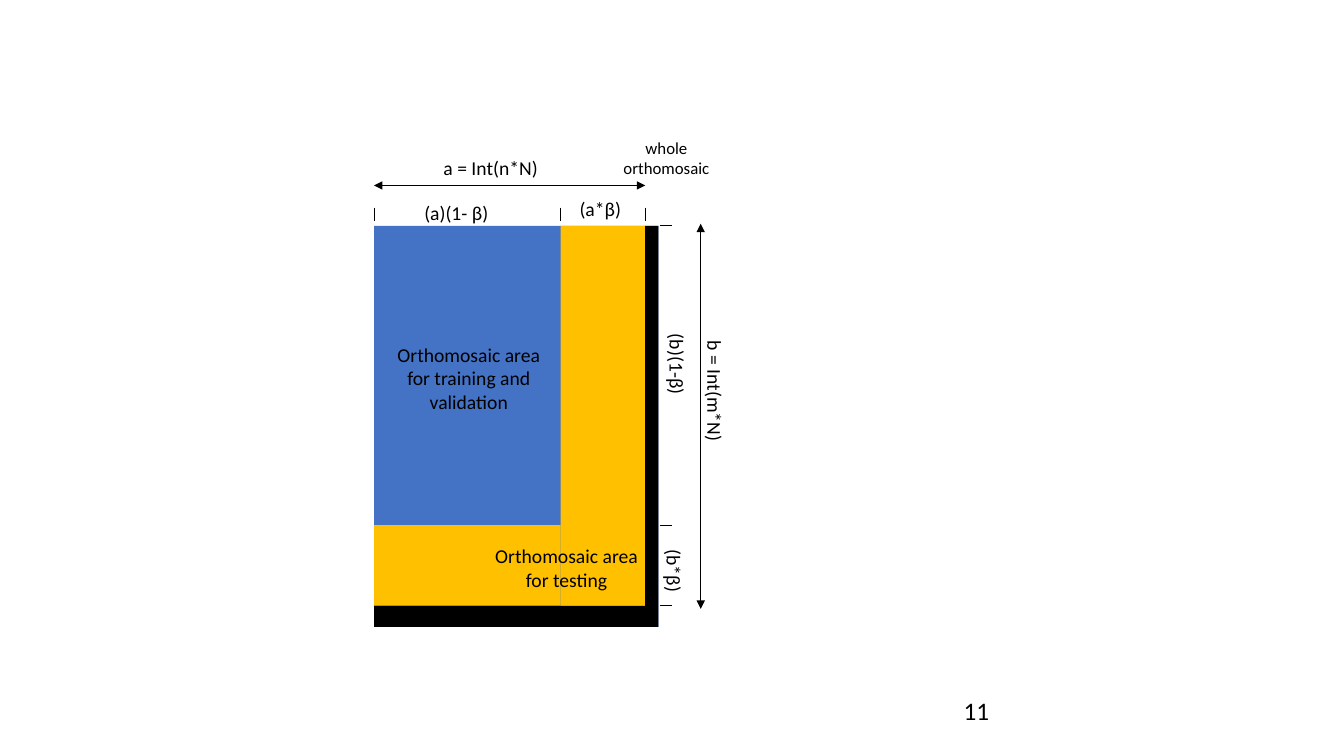
from lxml.etree import SubElement
from pptx import Presentation
from pptx.dml.color import RGBColor
from pptx.enum.shapes import MSO_CONNECTOR, MSO_SHAPE
from pptx.enum.text import MSO_AUTO_SIZE, PP_ALIGN
from pptx.oxml.ns import qn
from pptx.util import Inches, Pt

BLACK = RGBColor(0x00, 0x00, 0x00)
TRAINING_BLUE = RGBColor(0x44, 0x72, 0xC4)
TESTING_YELLOW = RGBColor(0xFF, 0xC0, 0x00)

LEFT, SPLIT_X, EDGE_X, RIGHT = 3.71, 5.56, 6.4, 6.53
TOP, SPLIT_Y, EDGE_Y, BOTTOM = 2.24, 5.21, 6.01, 6.22


def add_area(shapes, left, top, right, bottom, color):
    """Draw a filled area between two corners."""
    area = shapes.add_shape(MSO_SHAPE.RECTANGLE, Inches(left), Inches(top),
                            Inches(right - left), Inches(bottom - top))
    area.shadow.inherit = False
    area.fill.solid()
    area.fill.fore_color.rgb = color
    area.line.fill.background()


def add_rule(shapes, start, end, arrows=False):
    """Draw a thin black line, with arrowheads at both ends if asked."""
    rule = shapes.add_connector(MSO_CONNECTOR.STRAIGHT, *map(Inches, start + end))
    rule.line.color.rgb = BLACK
    rule.line.width = Pt(0.5)
    properties = rule.line._get_or_add_ln()
    if arrows:
        for tag in ("a:headEnd", "a:tailEnd"):
            SubElement(properties, qn(tag), type="triangle")
    SubElement(properties.getparent(), qn("a:effectLst"))


def add_label(shapes, text, left, top, width, height=0.34, size=14,
              rotation=0, align=PP_ALIGN.LEFT):
    """Write a black label and return its paragraph."""
    label = shapes.add_textbox(*map(Inches, (left, top, width, height)))
    label.rotation = rotation
    frame = label.text_frame
    frame.word_wrap = True
    frame.auto_size = MSO_AUTO_SIZE.SHAPE_TO_FIT_TEXT
    paragraph = frame.paragraphs[0]
    paragraph.alignment = align
    run = paragraph.add_run()
    run.text = text
    run.font.name = "Calibri"
    run.font.size = Pt(size)
    run.font.color.rgb = BLACK
    return paragraph


def add_page_number(shapes):
    """Write the slide number at the bottom."""
    number = add_label(shapes, "11", 9.42, 6.95, 3, 0.4, size=18)
    number.line_spacing = Pt(14.3)
    number._p.get_or_add_pPr().set("marL", str(Inches(0.04)))


def add_areas(shapes):
    """Draw the training, testing and unused areas of the orthomosaic."""
    add_area(shapes, LEFT, TOP, RIGHT, BOTTOM, TRAINING_BLUE)
    add_area(shapes, SPLIT_X, TOP, EDGE_X, EDGE_Y, TESTING_YELLOW)
    add_area(shapes, LEFT, SPLIT_Y, SPLIT_X, EDGE_Y, TESTING_YELLOW)
    add_area(shapes, EDGE_X, TOP, RIGHT, BOTTOM, BLACK)
    add_area(shapes, LEFT, EDGE_Y, EDGE_X, BOTTOM, BLACK)


def add_dimensions(shapes):
    """Draw the dimension arrows and their tick marks."""
    add_rule(shapes, (LEFT, 1.84), (EDGE_X, 1.84), arrows=True)
    add_rule(shapes, (6.95, 2.22), (6.95, 6.04), arrows=True)
    for x in (LEFT, SPLIT_X, EDGE_X):
        add_rule(shapes, (x, 2.06), (x, 2.19))
    for y in (TOP, SPLIT_Y, EDGE_Y):
        add_rule(shapes, (6.55, y), (6.67, y))


def add_labels(shapes):
    """Write the formulas and the names of the areas."""
    for formula, left, top, width, rotation in (
        ("a = Int(n*N)", 4.3, 1.5, 1.24, 0),
        ("(a)(1- β)", 4.11, 1.94, 0.9, 0),
        ("(a*β)", 5.65, 1.9, 1.06, 0),
        ("b = Int(m*N)", 6.3, 3.9, 1.58, 90),
        ("(b)(1-β)", 6.22, 3.54, 0.99, 90),
        ("(b*β)", 6.3, 5.57, 0.77, 90),
    ):
        add_label(shapes, formula, left, top, width, rotation=rotation)
    for name, left, top, width, height, size in (
        ("Orthomosaic area for training and validation", 3.76, 3.35, 1.78, 0.81, 14),
        ("Orthomosaic area for testing", 4.73, 5.35, 1.78, 0.57, 14),
        ("whole orthomosaic", 5.99, 1.32, 1.24, 0.5, 12),
    ):
        add_label(shapes, name, left, top, width, height, size, align=PP_ALIGN.CENTER)


def main():
    """Build the slide and save it."""
    deck = Presentation()
    deck.slide_width = Inches(13.33)
    deck.slide_height = Inches(7.5)
    slide = deck.slides.add_slide(deck.slide_layouts[6])
    add_page_number(slide.shapes)
    diagram = slide.shapes.add_group_shape().shapes
    add_areas(diagram)
    add_dimensions(diagram)
    add_labels(diagram)
    deck.save("out.pptx")


if __name__ == "__main__":
    main()
